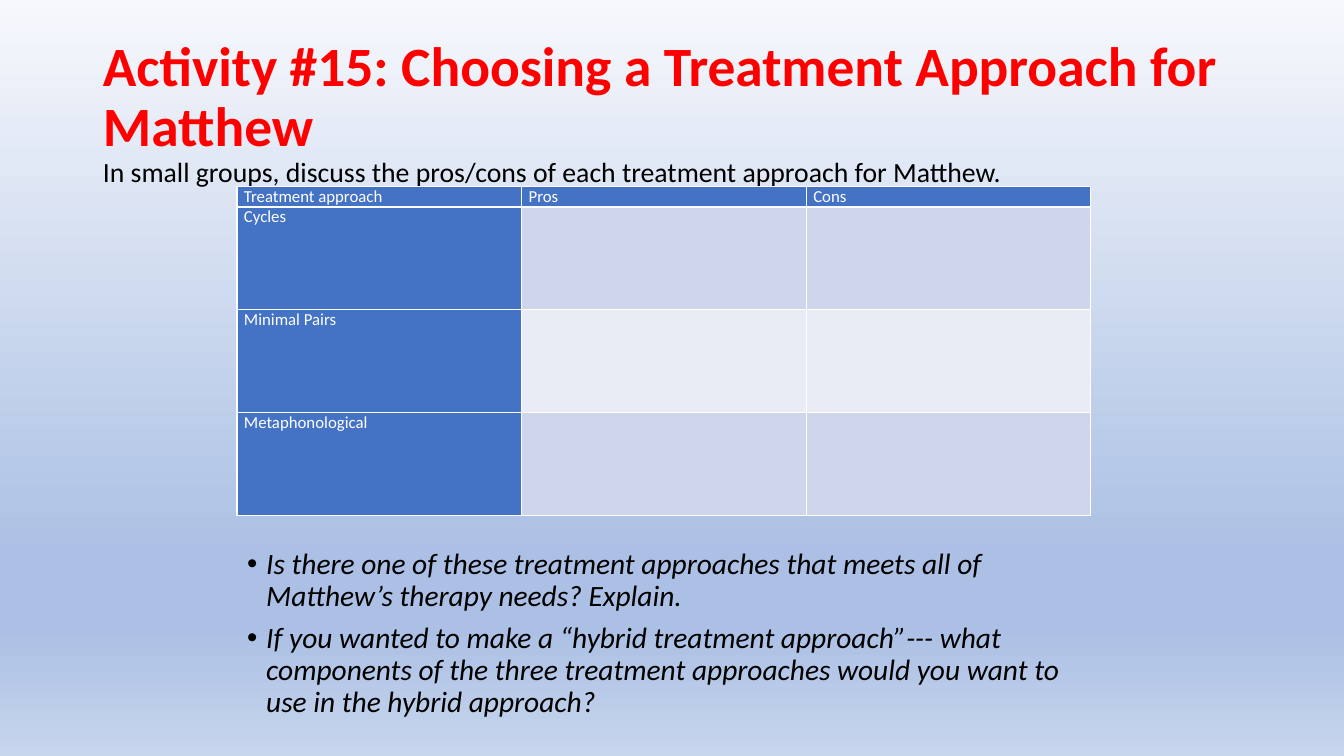
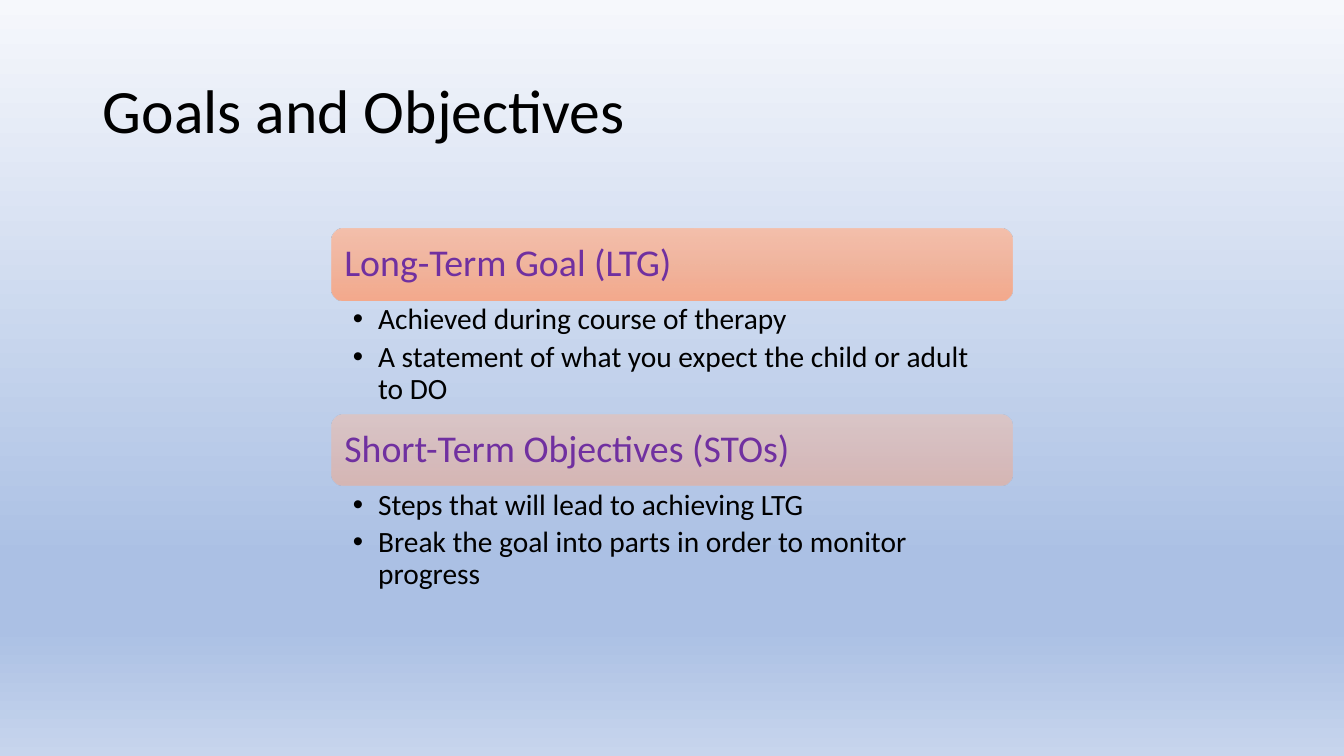
from dataclasses import dataclass

from lxml import etree
from pptx import Presentation
from pptx.dml.color import RGBColor
from pptx.enum.shapes import MSO_SHAPE as SHAPE
from pptx.enum.text import MSO_ANCHOR as ANCHOR, MSO_AUTO_SIZE as AUTO, PP_ALIGN as ALIGN
from pptx.oxml.ns import qn
from pptx.util import Inches, Pt


@dataclass(frozen=True)
class Theme:
    font: str = "Calibri"
    ink: str = "000000"
    alert: str = "FF0000"
    heading: str = "7030A0"
    white: str = "FFFFFF"
    table_head: str = "4472C4"
    bands: tuple = ("CFD5EA", "E9EBF5")
    backdrop: tuple = ((0, "F6F8FC"), (74, "ABC0E4"), (83, "ABC0E4"), (100, "C7D5ED"))
    bar: tuple = ((0, "F7BDA5"), (50, "F5B196"), (100, "F8A582"))
    title_size: float = 44
    activity_size: float = 39.6
    subtitle_size: float = 19.8
    heading_size: float = 27
    body_size: float = 21
    cell_size: float = 12
    line_spacing: float = 0.9


T = Theme()
TITLE_BOX = (0.92, 0.4, 11.5, 1.45)


def add_run(p, text, size, color=T.ink, bold=False, italic=False):
    r = p.add_run()
    r.text = text
    f = r.font
    f.name, f.size, f.bold, f.italic = T.font, Pt(size), bold, italic
    f.color.rgb = RGBColor.from_string(color)


def set_gradient(fill, root, stops, alpha=100):
    fill.gradient()
    grad = root.find(".//" + qn("a:gradFill"))
    grad.find(qn("a:lin")).set("ang", "5400000")
    gs_list = grad.find(qn("a:gsLst"))
    for gs in list(gs_list):
        gs_list.remove(gs)
    for pos, color in stops:
        gs = etree.SubElement(gs_list, qn("a:gs"), pos=str(pos * 1000))
        clr = etree.SubElement(gs, qn("a:srgbClr"), val=color)
        if alpha < 100:
            etree.SubElement(clr, qn("a:alpha"), val=str(alpha * 1000))


def place(s, box):
    s.left, s.top, s.width, s.height = map(Inches, box)


def set_frame(tf, x=0.1, y=0.05, anchor=ANCHOR.TOP):
    tf.word_wrap = True
    tf.auto_size = AUTO.NONE
    tf.vertical_anchor = anchor
    tf.margin_left = tf.margin_right = Inches(x)
    tf.margin_top = tf.margin_bottom = Inches(y)


def add_bullets(tf, items, indent, before=0, after=0, italic=False):
    for i, text in enumerate(items):
        p = tf.add_paragraph() if i else tf.paragraphs[0]
        p.line_spacing = T.line_spacing
        p.space_before, p.space_after = Pt(before), Pt(after)
        p.alignment = ALIGN.LEFT
        pPr = p._p.get_or_add_pPr()
        pPr.set("marL", str(Inches(indent)))
        pPr.set("indent", str(-Inches(indent)))
        etree.SubElement(pPr, qn("a:buFont"), typeface="Arial")
        etree.SubElement(pPr, qn("a:buChar"), char="•")
        add_run(p, text, T.body_size, italic=italic)


def start_title(slide):
    s = slide.shapes.title
    place(s, TITLE_BOX)
    set_frame(s.text_frame, anchor=ANCHOR.MIDDLE)
    p = s.text_frame.paragraphs[0]
    p.alignment = ALIGN.LEFT
    p.line_spacing = T.line_spacing
    return p


def format_cell(cell, text, fill):
    cell.fill.solid()
    cell.fill.fore_color.rgb = RGBColor.from_string(fill)
    cell.margin_left = cell.margin_right = Inches(0.07)
    cell.margin_top = cell.margin_bottom = 0
    if text:
        add_run(cell.text_frame.paragraphs[0], text, T.cell_size, T.white)
    tcPr = cell._tc.get_or_add_tcPr()
    for i, side in enumerate(("lnL", "lnR", "lnT", "lnB")):
        ln = etree.Element(qn("a:" + side), w=str(Pt(1)))
        solid = etree.SubElement(ln, qn("a:solidFill"))
        etree.SubElement(solid, qn("a:srgbClr"), val=T.white)
        tcPr.insert(i, ln)


def add_comparison(slide, box, headers, approaches, head_height=0.2):
    rows = [headers] + [(name, "", "") for name in approaches]
    table = slide.shapes.add_table(len(rows), len(headers), *map(Inches, box)).table
    row_height = (box[3] - head_height) / len(approaches)
    for col in table.columns:
        col.width = Inches(box[2] / len(headers))
    for i, row in enumerate(rows):
        table.rows[i].height = Inches(row_height if i else head_height)
        for j, text in enumerate(row):
            fill = T.bands[(i - 1) % 2] if i and j else T.table_head
            format_cell(table.cell(i, j), text, fill)


def add_section(slide, box, heading, items, alpha, bar_height=0.71):
    x, y, w, h = box
    s = slide.shapes.add_shape(SHAPE.ROUNDED_RECTANGLE, *map(Inches, (x, y, w, bar_height)))
    s.shadow.inherit = False
    s.line.fill.background()
    set_gradient(s.fill, s._element, T.bar, alpha)
    set_frame(s.text_frame, x=0.09, anchor=ANCHOR.MIDDLE)
    p = s.text_frame.paragraphs[0]
    p.alignment = ALIGN.LEFT
    p.line_spacing = T.line_spacing
    add_run(p, heading, T.heading_size, T.heading)
    s = slide.shapes.add_textbox(*map(Inches, (x, y + bar_height, w, h - bar_height)))
    set_frame(s.text_frame, x=0.21, y=0.04)
    add_bullets(s.text_frame, items, 0.25, after=4.2)


def build_activity(prs):
    slide = prs.slides.add_slide(prs.slide_layouts[1])
    p = start_title(slide)
    add_run(p, "Activity #15: Choosing a Treatment Approach for Matthew",
            T.activity_size, T.alert, bold=True)
    p.add_line_break()
    etree.SubElement(p._p[-1], qn("a:rPr"), sz=str(int(T.activity_size * 100)))
    add_run(p, "In small groups, discuss the pros/cons of each treatment approach for Matthew.",
            T.subtitle_size)
    add_comparison(slide, (2.35, 1.85, 8.47, 3.26), ("Treatment approach", "Pros", "Cons"),
                   ("Cycles", "Minimal Pairs", "Metaphonological"))
    s = slide.placeholders[1]
    place(s, (2.35, 5.4, 8.62, 1.8))
    set_frame(s.text_frame)
    add_bullets(s.text_frame, (
        "Is there one of these treatment approaches that meets all of Matthew’s therapy needs? "
        "Explain.",
        "If you wanted to make a “hybrid treatment approach”--- what components of the three "
        "treatment approaches would you want to use in the hybrid approach?",
    ), 0.19, before=7.5, italic=True)


def build_goals(prs):
    slide = prs.slides.add_slide(prs.slide_layouts[5])
    add_run(start_title(slide), "Goals and Objectives", T.title_size)
    sections = (
        ("Long-Term Goal (LTG)", 90,
         ("Achieved during course of therapy",
          "A statement of what you expect the child or adult to DO")),
        ("Short-Term Objectives (STOs)", 50,
         ("Steps that will lead to achieving LTG",
          "Break the goal into parts in order to monitor progress")),
    )
    height = 1.84
    for i, (heading, alpha, items) in enumerate(sections):
        add_section(slide, (3.29, 2.27 + i * height, 6.75, height), heading, items, alpha)


def main():
    prs = Presentation()
    prs.slide_width, prs.slide_height = Inches(13.33), Inches(7.5)
    master = prs.slide_master
    set_gradient(master.background.fill, master.element, T.backdrop)
    build_activity(prs)
    build_goals(prs)
    prs.save("out.pptx")


if __name__ == "__main__":
    main()
